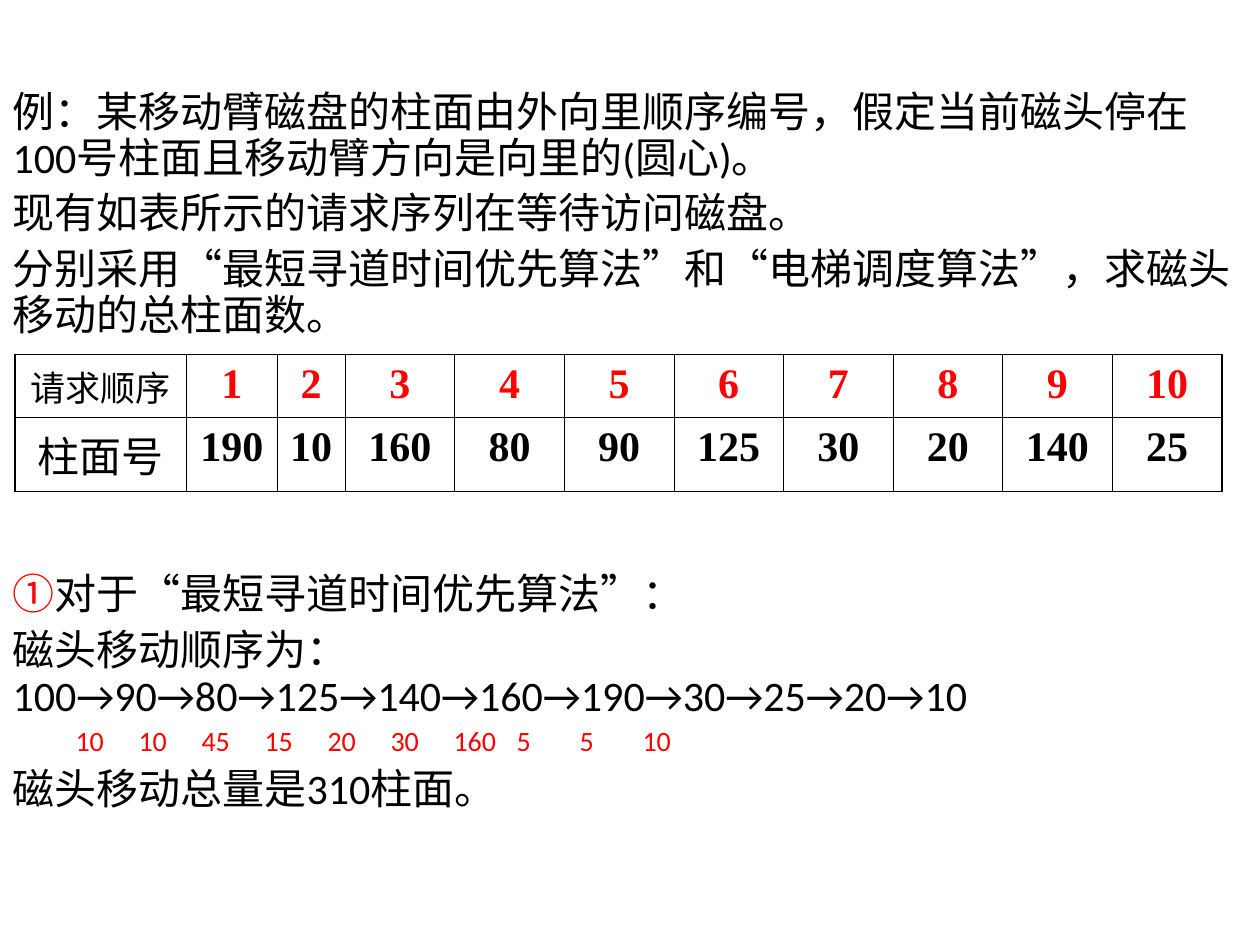
"""Build a slide with a disk-scheduling exercise, its request table and the solution."""
from lxml.etree import SubElement
from pptx import Presentation
from pptx.dml.color import RGBColor
from pptx.enum.text import MSO_ANCHOR, MSO_AUTO_SIZE, PP_ALIGN
from pptx.oxml.ns import qn
from pptx.util import Inches, Pt

COLORS = {"text": "000000", "accent": "FF0000"}
GAP_FOR_TABLE = 134
SEEKS = [10, 10, 45, 15, 20, 30, 160, 5, 5, 10]
SEEK_STOPS = [0.57, 1.14, 1.76, 2.49, 3.21, 3.93, 4.67, 5.23, 5.8, 6.42]
PARAGRAPHS = [
    (0, 24, [("例：某移动臂磁盘的柱面由外向里顺序编号，假定当前磁头停在100号柱面且移动臂方向是向里的(圆心)。", "text")]),
    (6, 24, [("现有如表所示的请求序列在等待访问磁盘。", "text")]),
    (6, 24, [("分别采用“最短寻道时间优先算法”和“电梯调度算法”，求磁头移动的总柱面数。", "text")]),
    (GAP_FOR_TABLE, 24, [("①", "accent"), ("对于“最短寻道时间优先算法”：", "text")]),
    (6, 24, [("磁头移动顺序为：100→90→80→125→140→160→190→30→25→20→10", "text")]),
    (4, 16, [("".join(f"\t{seek}" for seek in SEEKS), "accent")]),
    (6, 24, [("磁头移动总量是310柱面。", "text")]),
]
ROWS = [
    ["请求顺序", *range(1, 11)],
    ["柱面号", 190, 10, 160, 80, 90, 125, 30, 20, 140, 25],
]
COL_WIDTHS = [1.36, 0.72, 0.54] + [0.87] * 8
ROW_HEIGHT = 0.5
THICK, THIN = 1.08, 0.45


def style_run(r, size, color, name, bold=False):
    r.font.size, r.font.name, r.font.bold = Pt(size), name, bold
    r.font.color.rgb = RGBColor.from_string(COLORS[color])


def add_border(cell, side, width):
    ln = SubElement(cell._tc.get_or_add_tcPr(), qn(f"a:ln{side}"), w=str(Pt(width)))
    fill = SubElement(ln, qn("a:solidFill"))
    SubElement(fill, qn("a:srgbClr"), val=COLORS["text"])


prs = Presentation()
prs.slide_width, prs.slide_height = Inches(10), Inches(7.5)
W, H = prs.slide_width, prs.slide_height
s = prs.slides.add_slide(prs.slide_layouts[0])
title = s.shapes.title._element
title.getparent().remove(title)

body = s.placeholders[1]
body.left, body.top, body.width, body.height = 0, int(H * 0.09), W, int(H * 0.9)
tf = body.text_frame
tf.word_wrap, tf.auto_size = True, MSO_AUTO_SIZE.NONE
tf.vertical_anchor = MSO_ANCHOR.TOP
for i, (before, size, runs) in enumerate(PARAGRAPHS):
    p = tf.add_paragraph() if i else tf.paragraphs[0]
    if runs[0][0].startswith("\t"):
        tabs = SubElement(p._p.get_or_add_pPr(), qn("a:tabLst"))
        for stop in SEEK_STOPS:
            SubElement(tabs, qn("a:tab"), pos=str(Inches(stop)), algn="ctr")
    p.alignment, p.line_spacing = PP_ALIGN.LEFT, 0.9
    p.space_before, p.space_after = Pt(before), Pt(0)
    for text, color in runs:
        r = p.add_run()
        r.text = text
        style_run(r, size, color, "Calibri")

last_row, last_col = len(ROWS) - 1, len(COL_WIDTHS) - 1
frame = s.shapes.add_table(len(ROWS), len(COL_WIDTHS), int(W * 0.012), int(H * 0.375),
                           Inches(sum(COL_WIDTHS)), Inches(ROW_HEIGHT * len(ROWS)))
table = frame.table
table.first_row = table.horz_banding = False
for column, width in zip(table.columns, COL_WIDTHS):
    column.width = Inches(width)
for i, values in enumerate(ROWS):
    table.rows[i].height = Inches(ROW_HEIGHT)
    for j, value in enumerate(values):
        cell = table.cell(i, j)
        edges = {"L": j == 0, "R": j == last_col, "T": i == 0, "B": i == last_row}
        for side, outer in edges.items():
            add_border(cell, side, THICK if outer else THIN)
        cell.fill.background()
        cell.text_frame.text = str(value)
        p = cell.text_frame.paragraphs[0]
        p.alignment = PP_ALIGN.CENTER
        size = 20 if i == j == 0 else 24
        color = "accent" if i == 0 and j else "text"
        style_run(p.runs[0], size, color, "Times New Roman", bold=j > 0)

prs.save("out.pptx")
